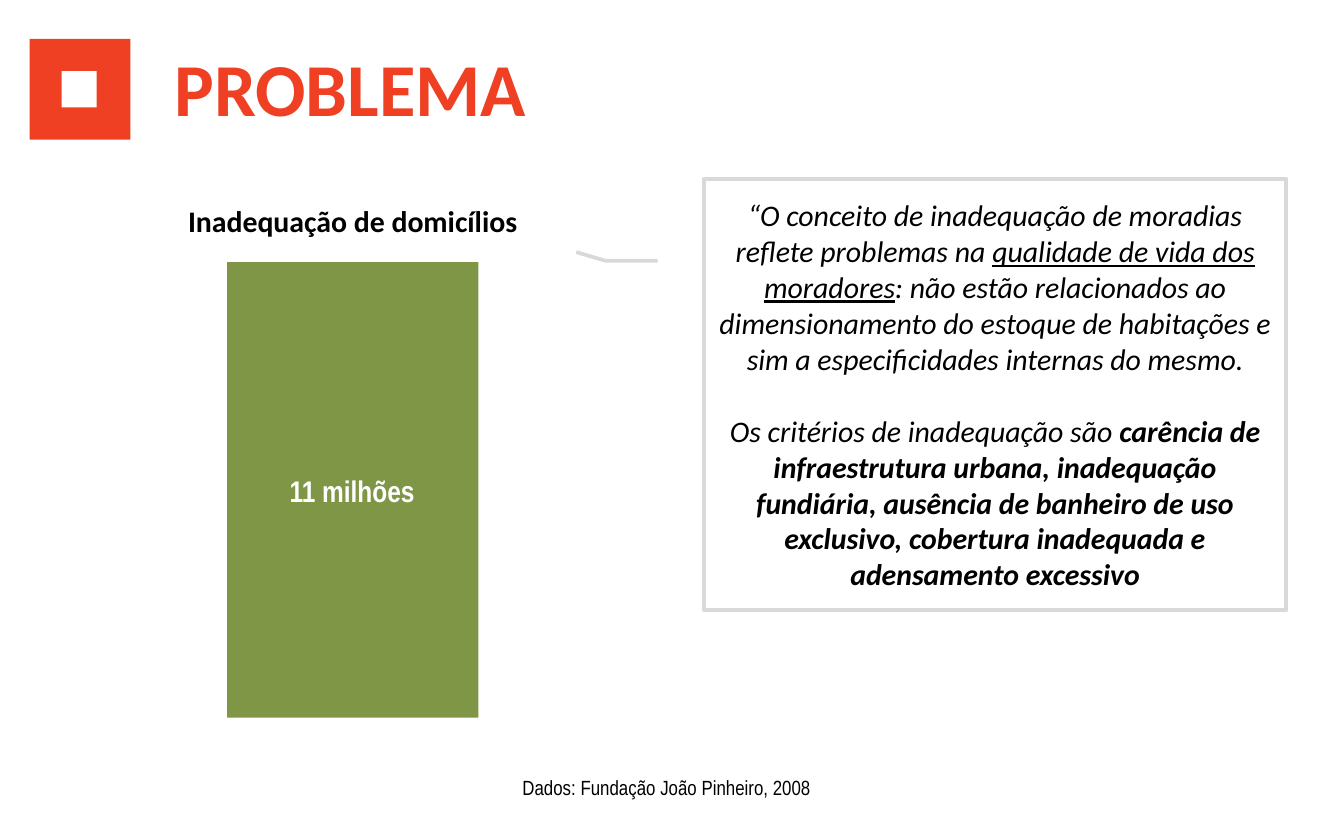
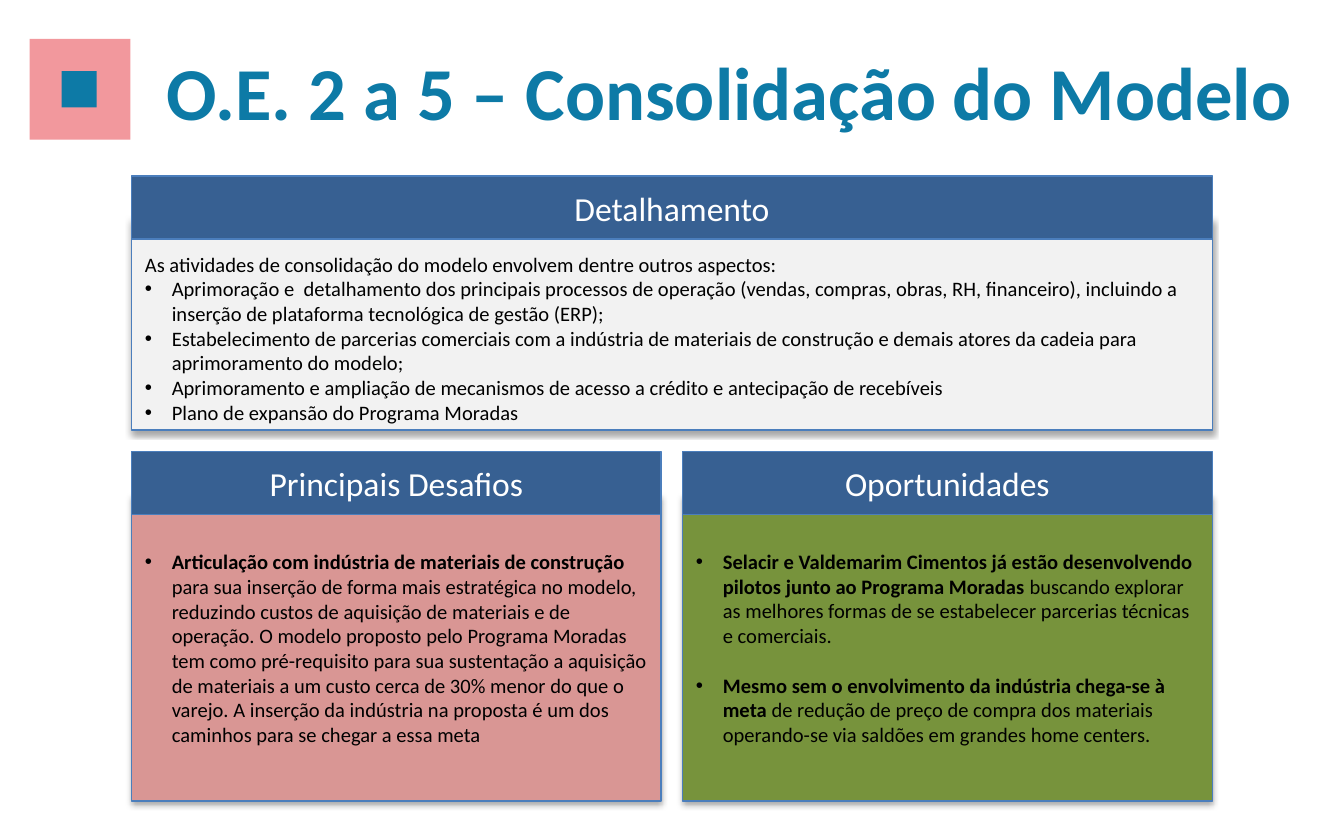
from lxml.etree import SubElement
from pptx import Presentation
from pptx.dml.color import RGBColor
from pptx.enum.shapes import MSO_SHAPE
from pptx.enum.text import MSO_ANCHOR, PP_ALIGN
from pptx.oxml.ns import qn
from pptx.util import Emu, Pt

PX = 9144
WHITE = RGBColor(0xFF, 0xFF, 0xFF)
BLACK = RGBColor(0, 0, 0)
ORANGE = RGBColor(0xEF, 0x40, 0x23)
PINK = RGBColor(0xF2, 0x98, 0x9D)
TEAL = RGBColor(0x0D, 0x7A, 0xA6)
BAR_GREEN = RGBColor(0x80, 0x96, 0x47)
GREY_LINE = RGBColor(0xD9, 0xD9, 0xD9)
NAVY = RGBColor(0x37, 0x60, 0x92)
BLUE_LINE = RGBColor(0x4B, 0x7E, 0xBC)
PALE_GREY = RGBColor(0xF2, 0xF2, 0xF2)
ROSE = RGBColor(0xD9, 0x96, 0x94)
OLIVE = RGBColor(0x77, 0x93, 0x3C)
BODY, NARROW = "Calibri", "Arial Narrow"
INDENT = 20
HEADER_H, HEADER_OVERLAP = 47, 15

DETAILS = [
    "Aprimoração e  detalhamento dos principais processos de operação (vendas, compras, obras, RH, "
    "financeiro), incluindo a inserção de plataforma tecnológica de gestão (ERP);",
    "Estabelecimento de parcerias comerciais com a indústria de materiais de construção e demais "
    "atores da cadeia para aprimoramento do modelo;",
    "Aprimoramento e ampliação de mecanismos de acesso a crédito e antecipação de recebíveis",
    "Plano de expansão do Programa Moradas",
]
CHALLENGES = [[
    ("Articulação com indústria de materiais de construção ", "b"),
    ("para sua inserção de forma mais estratégica no modelo, reduzindo custos de aquisição de "
     "materiais e de operação. O modelo proposto pelo Programa Moradas tem como pré-requisito para "
     "sua sustentação a aquisição de materiais a um custo cerca de 30% menor do que o varejo. A "
     "inserção da indústria na proposta é um dos caminhos para se chegar a essa meta", ""),
]]
OPPORTUNITIES = [
    [("Selacir e Valdemarim Cimentos já estão desenvolvendo pilotos junto ao Programa Moradas ", "b"),
     ("buscando explorar as melhores formas de se estabelecer parcerias técnicas e comerciais.", "")],
    [("Mesmo sem o envolvimento da indústria chega-se à meta", "b"),
     (" de redução de preço de compra dos materiais operando-se via saldões em grandes home "
      "centers.", "")],
]
CONCEPT = [
    [("“O conceito de inadequação de moradias reflete problemas na ", "i"),
     ("qualidade de vida dos moradores", "iu"),
     (": não estão relacionados ao dimensionamento do estoque de habitações e sim a "
      "especificidades internas do mesmo.", "i")],
    [("Os critérios de inadequação são", "i"),
     (" carência de infraestrutura urbana, inadequação fundiária, ausência de banheiro de uso "
      "exclusivo, cobertura inadequada e adensamento excessivo", "bi")],
]


def px(n):
    """Turn px into EMU."""
    return Emu(n * PX)


def add_bullet(p):
    """Give a paragraph a hanging round bullet."""
    pPr = p._p.get_or_add_pPr()
    pPr.set("marL", str(px(INDENT)))
    pPr.set("indent", str(-px(INDENT)))
    SubElement(pPr, qn("a:buFont")).set("typeface", "Arial")
    SubElement(pPr, qn("a:buChar")).set("char", "•")


def write(tf, paras, size=11, color=BLACK, font=BODY, align=PP_ALIGN.LEFT, gap=0,
          bullets_from=None, style=""):
    """Write paragraphs, each a string or a list of (text, style letters) runs."""
    for i, para in enumerate(paras):
        p = tf.paragraphs[0] if i == 0 else tf.add_paragraph()
        p.alignment = align
        if i and gap:
            p.space_before = Pt(gap)
        if bullets_from is not None and i >= bullets_from:
            add_bullet(p)
        for text, marks in [(para, style)] if isinstance(para, str) else para:
            r = p.add_run()
            r.text = text
            f = r.font
            f.name, f.size, f.color.rgb = font, Pt(size), color
            f.bold, f.italic, f.underline = "b" in marks, "i" in marks, "u" in marks


def add_label(s, text, x, y, w, h, wrap=True, **fmt):
    """Place a text box with one paragraph."""
    tf = s.shapes.add_textbox(px(x), px(y), px(w), px(h)).text_frame
    tf.word_wrap = wrap
    write(tf, [text], **fmt)


def add_box(s, x, y, w, h, fill, line=None, width=0.75, kind=MSO_SHAPE.RECTANGLE):
    """Place a flat shape with a middle-anchored text frame."""
    sp = s.shapes.add_shape(kind, px(x), px(y), px(w), px(h))
    sp.shadow.inherit = False
    sp.fill.solid()
    sp.fill.fore_color.rgb = fill
    if line is None:
        sp.line.fill.background()
    else:
        sp.line.color.rgb = line
        sp.line.width = Pt(width)
    sp.text_frame.word_wrap = True
    sp.text_frame.vertical_anchor = MSO_ANCHOR.MIDDLE
    return sp


def add_shadow(sp):
    """Give a shape a soft shadow below it."""
    effects = sp._element.spPr.find(qn("a:effectLst"))
    shadow = SubElement(effects, qn("a:outerShdw"), blurRad="40000", dist="23000",
                        dir="5400000", rotWithShape="0")
    color = SubElement(shadow, qn("a:srgbClr"), val=str(BLACK))
    SubElement(color, qn("a:alpha"), val="35000")


def add_heading(s, text, x, y, w, color, outer, inner, wrap=True):
    """Place the square marker and the slide title."""
    add_box(s, 22, 29, 75, 75, outer)
    add_box(s, 46, 53, 26, 27, inner)
    add_label(s, text, x, y, w, 77, wrap=wrap, size=40, color=color, style="b")


def add_bar(s, x, y, w, h):
    """Place the housing bar with its heading and value."""
    add_label(s, "Inadequação de domicílios", x - 72, y - 49, w + 144, 37,
              size=16, align=PP_ALIGN.CENTER, style="b")
    add_box(s, x, y, w, h, BAR_GREEN)
    add_label(s, "11 milhões", x + 15, y + 152, w - 31, 37, size=16, color=WHITE,
              font=NARROW, align=PP_ALIGN.CENTER, style="b")


def add_concept(s, x, y, w, h):
    """Place the callout that defines the concept."""
    sp = add_box(s, x, y, w, h, WHITE, GREY_LINE, 2, MSO_SHAPE.LINE_CALLOUT_2)
    for i, value in enumerate((0.19, -0.08, 0.19, -0.17, 0.17, -0.22)):
        sp.adjustments[i] = value
    write(sp.text_frame, CONCEPT, size=16, align=PP_ALIGN.CENTER, gap=19.5)


def add_panel(s, x, y, w, h, title, paras, fill, top=5, **fmt):
    """Place a shadowed body under a header band."""
    body_y = y + HEADER_H - HEADER_OVERLAP
    body = add_box(s, x, body_y, w, y + h - body_y, fill, BLUE_LINE)
    add_shadow(body)
    body.text_frame.margin_top = px(top)
    write(body.text_frame, paras, **fmt)
    header = add_box(s, x, y, w, HEADER_H, NAVY, BLUE_LINE)
    write(header.text_frame, [title], size=18, color=WHITE, align=PP_ALIGN.CENTER)


def problem_slide(s):
    """Build the slide on inadequate housing."""
    add_heading(s, "PROBLEMA", 120, 26, 285, ORANGE, ORANGE, WHITE, wrap=False)
    add_bar(s, 169, 195, 187, 339)
    add_concept(s, 524, 133, 433, 321)
    add_label(s, "Dados: Fundação João Pinheiro, 2008", 232, 572, 528, 29,
              font=NARROW, align=PP_ALIGN.CENTER)


def model_slide(s):
    """Build the slide on consolidating the model."""
    add_heading(s, "O.E. 2 a 5 – Consolidação do Modelo", 114, 29, 874, TEAL, PINK, TEAL)
    x, w, gutter = 98, 804, 16
    half = (w - gutter) // 2
    intro = "As atividades de consolidação do modelo envolvem dentre outros aspectos:"
    add_panel(s, x, 131, w, 189, "Detalhamento", [intro, *DETAILS], PALE_GREY,
              top=25, bullets_from=1)
    columns = (("Principais Desafios", CHALLENGES, ROSE),
               ("Oportunidades", OPPORTUNITIES, OLIVE))
    for i, (title, paras, fill) in enumerate(columns):
        add_panel(s, x + i * (half + gutter), 336, half, 260, title, paras, fill,
                  bullets_from=0, gap=13.4)


def main():
    """Build and save the presentation."""
    prs = Presentation()
    prs.slide_width, prs.slide_height = px(1000), px(625)
    for build in (problem_slide, model_slide):
        build(prs.slides.add_slide(prs.slide_layouts[6]))
    prs.save("out.pptx")


if __name__ == "__main__":
    main()
